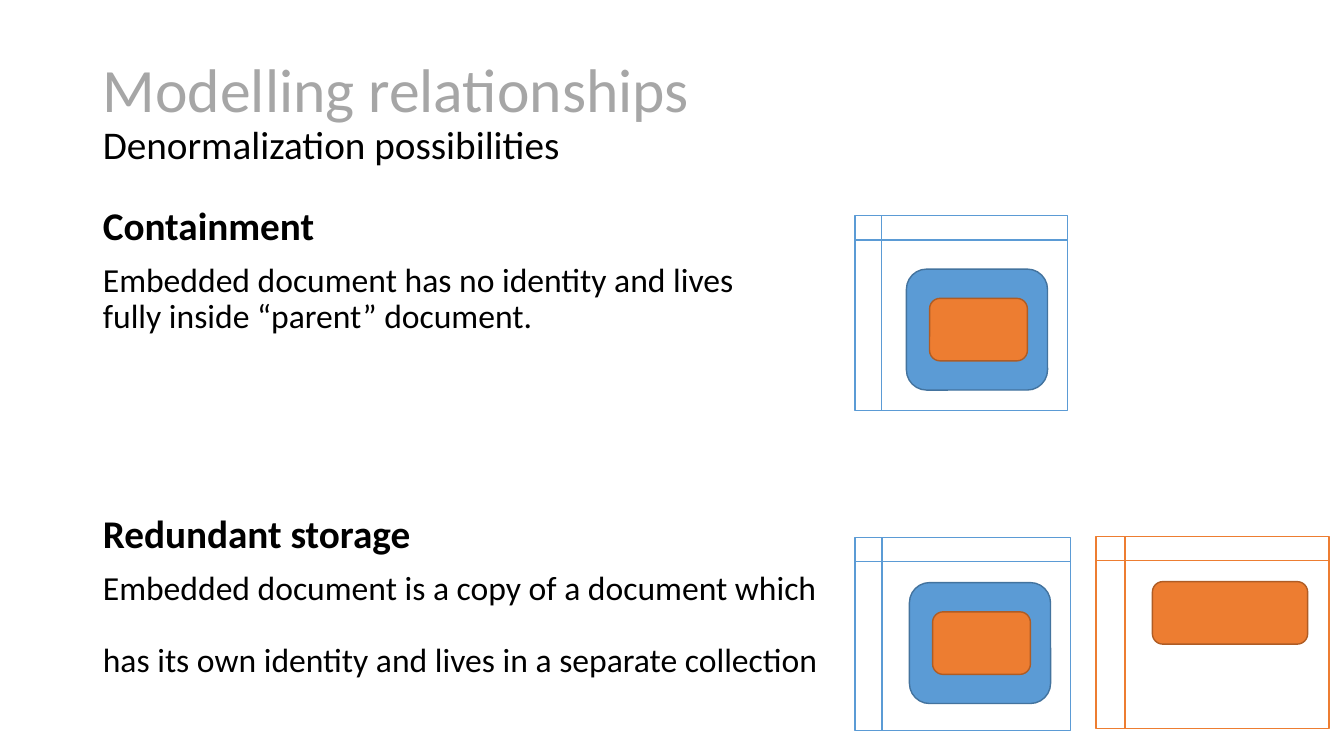
from pptx import Presentation
from pptx.dml.color import RGBColor
from pptx.enum.shapes import MSO_SHAPE
from pptx.enum.text import MSO_ANCHOR, MSO_AUTO_SIZE, PP_ALIGN
from pptx.oxml.xmlchemy import OxmlElement
from pptx.util import Inches, Pt

WHITE = RGBColor(0xFF, 0xFF, 0xFF)
BLACK = RGBColor(0, 0, 0)
GREY = RGBColor(0xA6, 0xA6, 0xA6)
BLUE = RGBColor(0x5B, 0x9B, 0xD5)
DARK_BLUE = RGBColor(0x43, 0x73, 0x9E)
ORANGE = RGBColor(0xED, 0x7D, 0x31)
DARK_ORANGE = RGBColor(0xAF, 0x5C, 0x24)
FONT = "Calibri"
TEXT_LEFT = 0.92

presentation = Presentation()
presentation.slide_width = Inches(13.33)
presentation.slide_height = Inches(7.5)
slide = presentation.slides.add_slide(presentation.slide_layouts[1])
title, body = slide.placeholders


def place(shape, left, top, width, height):
    shape.left, shape.top = Inches(left), Inches(top)
    shape.width, shape.height = Inches(width), Inches(height)


def add_box(kind, left, top, width, height, fill, line):
    shape = slide.shapes.add_shape(
        kind, Inches(left), Inches(top), Inches(width), Inches(height))
    shape.shadow.inherit = False
    shape.fill.solid()
    shape.fill.fore_color.rgb = fill
    shape.line.color.rgb = line
    shape.line.width = Pt(1)


# Title with subtitle line
place(title, TEXT_LEFT, 0.4, 11.5, 1.45)
title.text_frame.auto_size = MSO_AUTO_SIZE.NONE
title.text_frame.vertical_anchor = MSO_ANCHOR.MIDDLE
heading = title.text_frame.paragraphs[0]
heading.alignment = PP_ALIGN.LEFT
heading.line_spacing = 0.9
heading.font.name = FONT
for text, size, color in [("Modelling relationships", 44, GREY),
                          ("Denormalization possibilities", 28, BLACK)]:
    if heading.runs:
        heading.add_line_break()
    run = heading.add_run()
    run.text = text
    run.font.size = Pt(size)
    run.font.color.rgb = color

# Body: text, size, bold, space before
place(body, TEXT_LEFT, 2, 7.32, 5.24)
frame = body.text_frame
frame.auto_size = MSO_AUTO_SIZE.NONE
lines = [
    ("Containment", 28, True, 10),
    ("Embedded document has no identity and lives\v"
     "fully inside “parent” document.", 24, False, 10),
    ("Redundant storage", 28, True, 128),
    ("Embedded document is a copy of a document which", 24, False, 10),
    ("has its own identity and lives in a separate collection", 24, False, 26),
]
for index, (text, size, bold, space) in enumerate(lines):
    paragraph = frame.add_paragraph() if index else frame.paragraphs[0]
    paragraph.text = text
    paragraph.line_spacing = 0.9
    paragraph.space_before = Pt(space)
    paragraph.font.name = FONT
    paragraph.font.size = Pt(size)
    paragraph.font.bold = bold
    paragraph.font.color.rgb = BLACK
    properties = paragraph._p.get_or_add_pPr()
    properties.set("marL", "0")
    properties.set("indent", "0")
    properties.insert_element_before(
        OxmlElement("a:buNone"), "a:tabLst", "a:defRPr", "a:extLst")

# Collections
for left, top, width, height, color in [(10.87, 5.32, 2.31, 1.91, ORANGE),
                                        (8.48, 5.33, 2.14, 1.92, BLUE),
                                        (8.48, 2.14, 2.11, 1.93, BLUE)]:
    add_box(MSO_SHAPE.FLOWCHART_INTERNAL_STORAGE,
            left, top, width, height, WHITE, color)

# Parent documents, each with its embedded document
for left, top in [(8.99, 2.67), (9.02, 5.78)]:
    add_box(MSO_SHAPE.ROUNDED_RECTANGLE, left, top, 1.4, 1.2, BLUE, DARK_BLUE)
    add_box(MSO_SHAPE.ROUNDED_RECTANGLE, left + 0.23, top + 0.29, 0.97, 0.62,
            ORANGE, DARK_ORANGE)

# Separately stored document
add_box(MSO_SHAPE.ROUNDED_RECTANGLE, 11.43, 5.77, 1.54, 0.62,
        ORANGE, DARK_ORANGE)

presentation.save("out.pptx")
